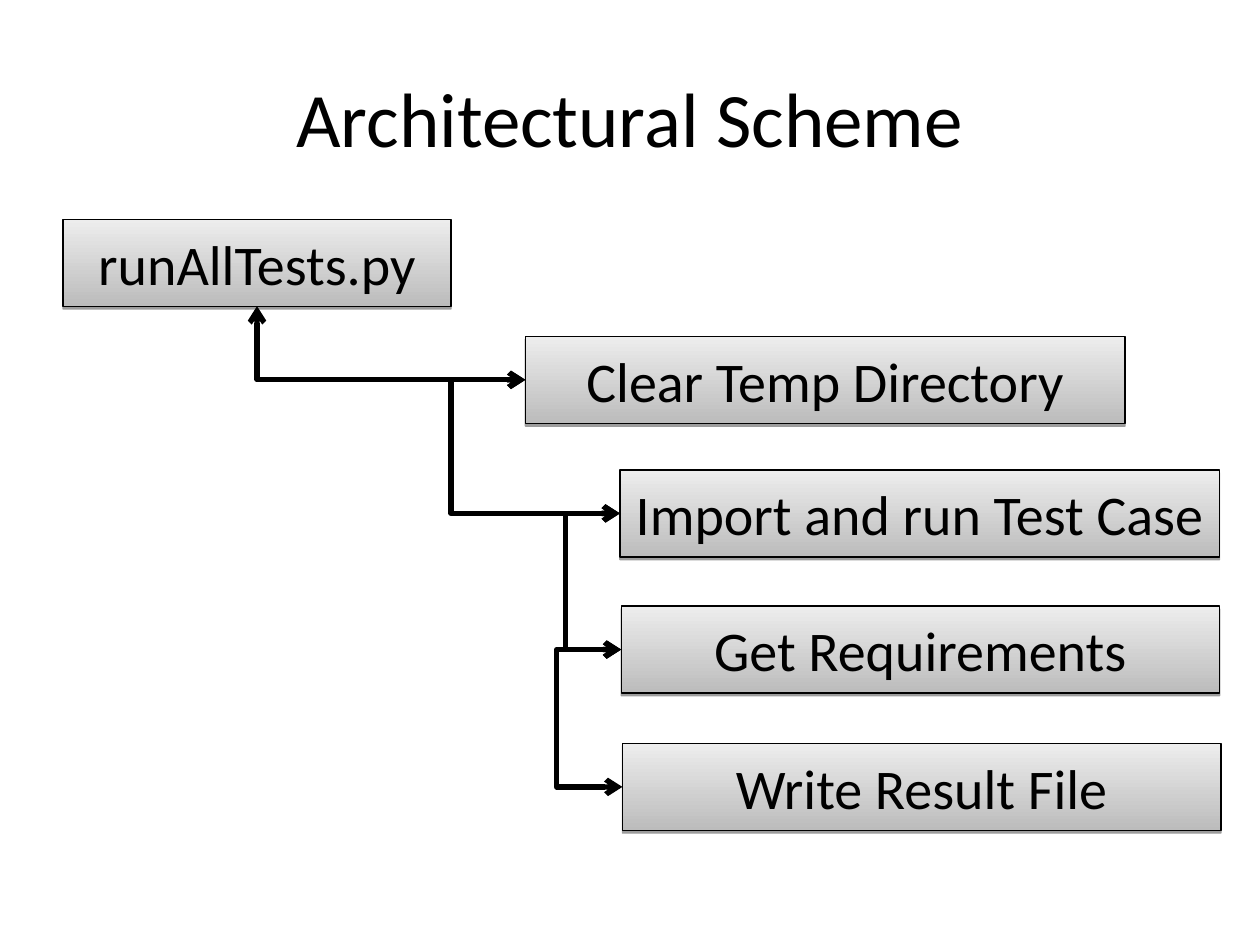
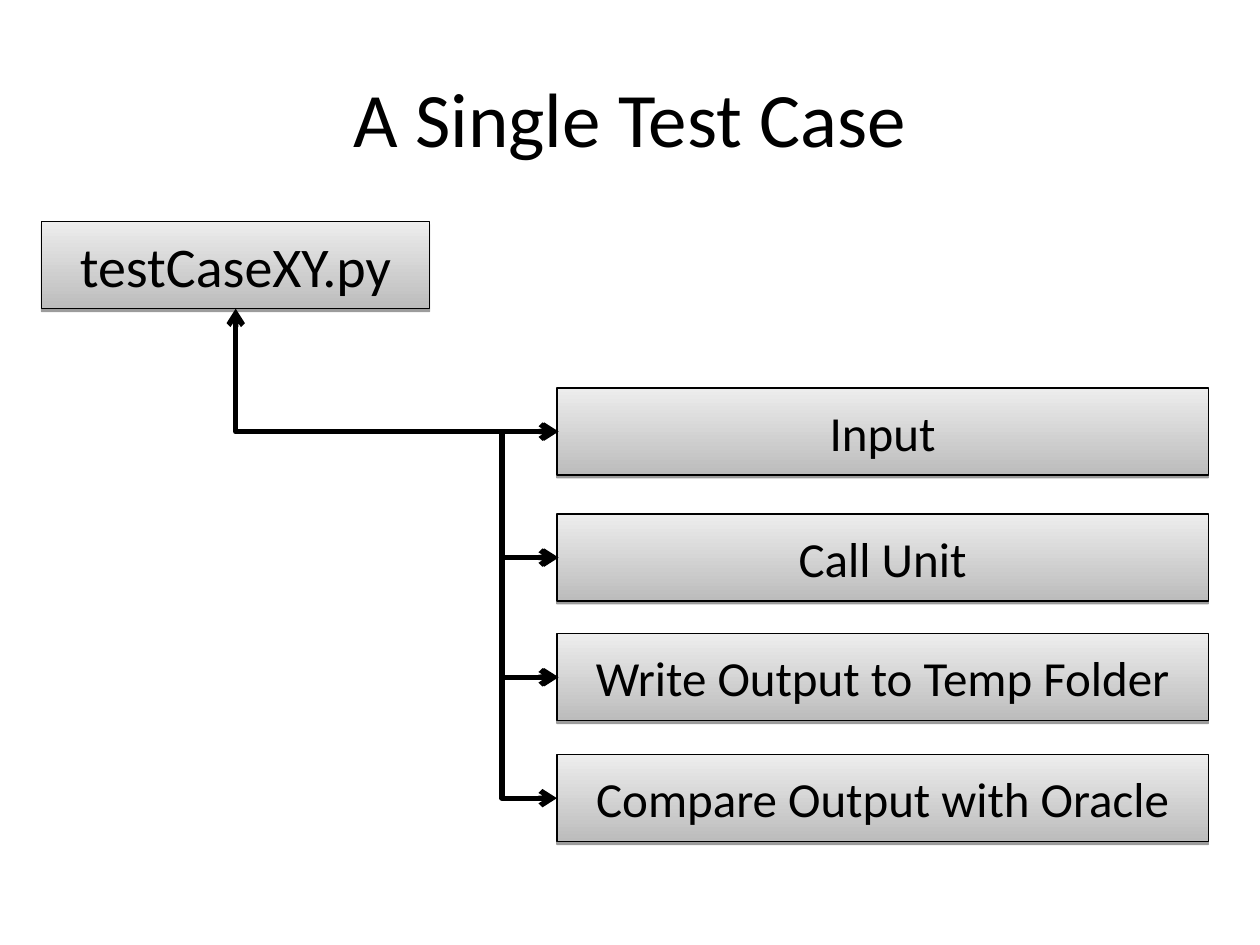
"""Build two slides that show how a test runner and a test case call their steps."""
from dataclasses import dataclass
from itertools import pairwise

from lxml import etree
from pptx import Presentation
from pptx.dml.color import RGBColor
from pptx.enum.shapes import MSO_CONNECTOR, MSO_SHAPE
from pptx.enum.text import MSO_ANCHOR, PP_ALIGN
from pptx.oxml.ns import qn
from pptx.util import Inches, Pt

RECT = MSO_SHAPE.RECTANGLE
ELBOW = MSO_CONNECTOR.ELBOW
MIDDLE = MSO_ANCHOR.MIDDLE
CENTER = PP_ALIGN.CENTER

BLACK = RGBColor(0x00, 0x00, 0x00)
DARK = RGBColor(0xBC, 0xBC, 0xBC)
LIGHT = RGBColor(0xED, 0xED, 0xED)

FONT = "Calibri"
HIGH = 0.69
LEFT, BOTTOM = 1, 2
TITLE_ONLY = 5
NUDGE = Pt(1)


@dataclass(frozen=True)
class Box:
    """A labelled box, placed in inches."""

    text: str
    left: float
    top: float
    width: float
    size: int = 32


@dataclass(frozen=True)
class Scheme:
    """A slide: its title, the script, its steps and the bends between steps."""

    title: str
    root: Box
    steps: tuple[Box, ...]
    bends: tuple[float, ...]


UNIT_STEPS = (
    ("Input", 3.08),
    ("Call Unit", 4.08),
    ("Write Output to Temp Folder", 5.03),
    ("Compare Output with Oracle", 5.99),
)

SCHEMES = (
    Scheme(
        "Architectural Scheme",
        Box("runAllTests.py", 0.5, 1.74, 3.08),
        (
            Box("Clear Temp Directory", 4.17, 2.67, 4.76),
            Box("Import and run Test Case", 4.92, 3.73, 4.76),
            Box("Get Requirements", 4.93, 4.81, 4.75),
            Box("Write Result File", 4.94, 5.9, 4.75),
        ),
        (3.58, 4.48, 4.41),
    ),
    Scheme(
        "A Single Test Case",
        Box("testCaseXY.py", 0.33, 1.76, 3.08),
        tuple(Box(text, 4.42, top, 5.17, 28) for text, top in UNIT_STEPS),
        (3.98,) * 3,
    ),
)


def apply(target, values: dict) -> None:
    """Set each named attribute on the target."""
    for name, value in values.items():
        setattr(target, name, value)


def add_node(parent, tag: str, **values: str):
    """Append a drawing element with the given attributes."""
    node = etree.SubElement(parent, qn(f"a:{tag}"))
    for name, value in values.items():
        node.set(name, value)
    return node


def write(frame, text: str, size: int) -> None:
    """Write one centred line of text."""
    frame.text = text
    apply(frame, {"word_wrap": True, "vertical_anchor": MIDDLE})
    line = frame.paragraphs[0]
    line.alignment = CENTER
    apply(line.font, {"name": FONT, "size": Pt(size)})
    line.font.color.rgb = BLACK


def draw_box(slide, box: Box):
    """Draw a grey gradient box with a soft drop shadow."""
    place = map(Inches, (box.left, box.top, box.width, HIGH))
    shape = slide.shapes.add_shape(RECT, *place)
    shape.fill.gradient()
    shape.fill.gradient_angle = 90
    for stop, color in zip(shape.fill.gradient_stops, (DARK, LIGHT)):
        stop.color.rgb = color
    shape.line.color.rgb = BLACK
    shape.line.width = Pt(0.75)
    shape.shadow.inherit = False
    effects = shape._element.spPr.find(qn("a:effectLst"))
    shadow = add_node(effects, "outerShdw", blurRad="0", dist="20000",
                      dir="5400000", rotWithShape="0")
    color = add_node(shadow, "srgbClr", val=str(BLACK))
    add_node(color, "alpha", val="38000")
    write(shape.text_frame, box.text, box.size)
    return shape


def draw_link(slide, start, site: int, end):
    """Join a side of one box to the left of another, with arrows at both ends."""
    link = slide.shapes.add_connector(ELBOW, 0, 0, 0, 0)
    link.begin_connect(start, site)
    link.end_connect(end, LEFT)
    link.line.color.rgb = BLACK
    link.line.width = Pt(3)
    outline = link.line._get_or_add_ln()
    for tag in ("headEnd", "tailEnd"):
        add_node(outline, tag, type="arrow")
    add_node(link._element.spPr, "effectLst")
    return link


def turn(link) -> None:
    """Make the link go down first, then right, with a single bend."""
    wide, high = link.width, link.height
    shift = (wide - high) // 2
    apply(link, {"left": link.left + shift, "top": link.top - shift,
                 "width": high, "height": wide})
    props = link._element.spPr
    props.xfrm.set("rot", "16200000")
    props.xfrm.set("flipH", "1")
    props.find(qn("a:prstGeom")).set("prst", "bentConnector2")


def bend(link, where: float) -> None:
    """Put the upright part of the link at the given distance from the left."""
    if link.begin_x == link.end_x:
        link.begin_x += NUDGE
    ratio = (Inches(where) - link.begin_x) / (link.end_x - link.begin_x)
    guides = link._element.spPr.find(qn("a:prstGeom")).find(qn("a:avLst"))
    add_node(guides, "gd", name="adj1", fmla=f"val {round(ratio * 100000)}")


def draw_scheme(deck, scheme: Scheme) -> None:
    """Add a slide with the title, boxes and links of one scheme."""
    slide = deck.slides.add_slide(deck.slide_layouts[TITLE_ONLY])
    title = slide.shapes.title
    apply(title, {"left": Inches(0.5), "top": Inches(0.3),
                  "width": Inches(9), "height": Inches(1.25)})
    write(title.text_frame, scheme.title, 44)
    root = draw_box(slide, scheme.root)
    steps = [draw_box(slide, box) for box in scheme.steps]
    turn(draw_link(slide, root, BOTTOM, steps[0]))
    for (start, end), where in zip(pairwise(steps), scheme.bends):
        bend(draw_link(slide, start, LEFT, end), where)


def main() -> None:
    """Build the deck and save it."""
    deck = Presentation()
    apply(deck, {"slide_width": Inches(10), "slide_height": Inches(7.5)})
    for scheme in SCHEMES:
        draw_scheme(deck, scheme)
    deck.save("out.pptx")


if __name__ == "__main__":
    main()
